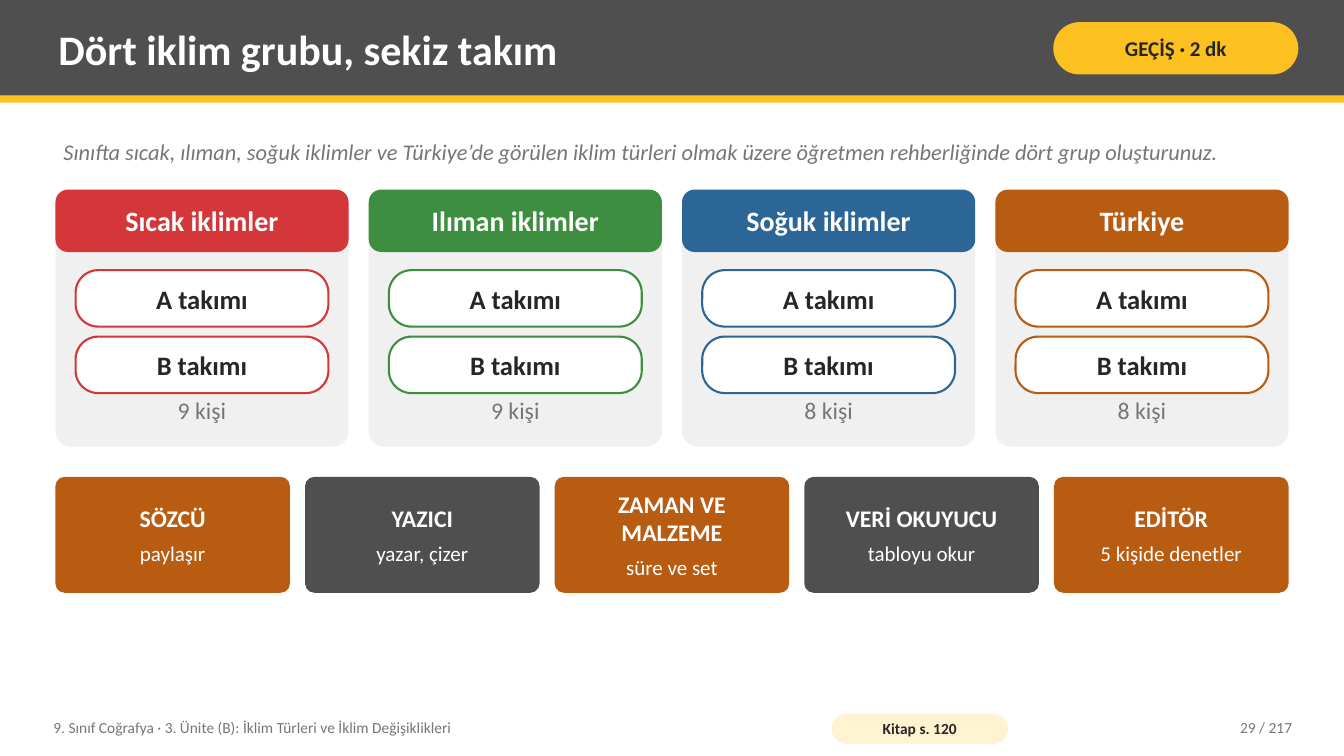
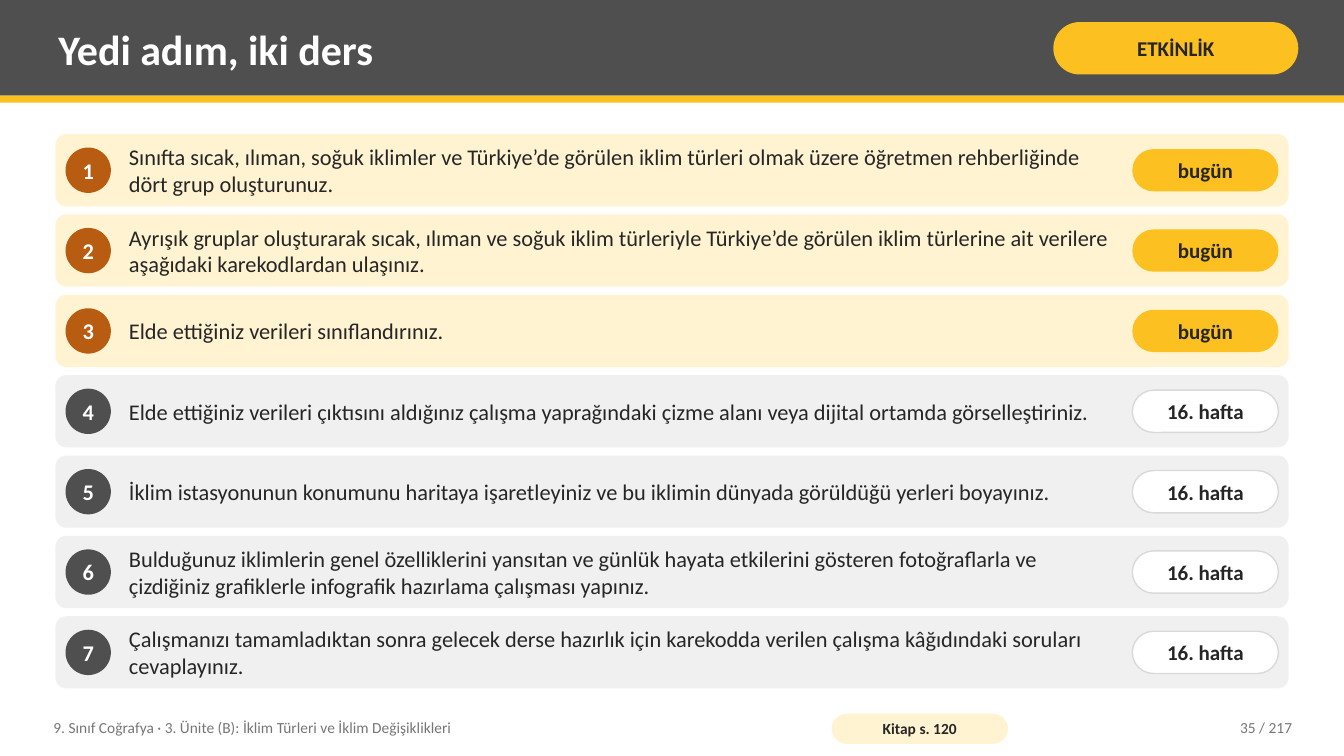
"""Build two geography lesson slides: team groups and activity steps."""
from pptx import Presentation
from pptx.dml.color import RGBColor
from pptx.enum import shapes, text
from pptx.util import Pt

FONT = "Calibri"
WHITE = RGBColor(0xFF, 0xFF, 0xFF)
INK = RGBColor(0x26, 0x26, 0x26)
DARK = RGBColor(0x4F, 0x4F, 0x4F)
MUTED = RGBColor(0x76, 0x76, 0x76)
BORDER = RGBColor(0xD9, 0xD9, 0xD9)
PANEL = RGBColor(0xF0, 0xF0, 0xF0)
YELLOW = RGBColor(0xFC, 0xC0, 0x21)
CREAM = RGBColor(0xFF, 0xF3, 0xD1)
RED = RGBColor(0xD3, 0x37, 0x3A)
GREEN = RGBColor(0x3E, 0x8E, 0x41)
BLUE = RGBColor(0x2C, 0x66, 0x96)
ORANGE = RGBColor(0xB8, 0x5C, 0x12)

RECT = shapes.MSO_SHAPE.RECTANGLE
ROUND = shapes.MSO_SHAPE.ROUNDED_RECTANGLE
OVAL = shapes.MSO_SHAPE.OVAL
LEFT, CENTER, RIGHT = text.PP_ALIGN.LEFT, text.PP_ALIGN.CENTER, text.PP_ALIGN.RIGHT
TOP, MIDDLE = text.MSO_ANCHOR.TOP, text.MSO_ANCHOR.MIDDLE

SLIDE_W, SLIDE_H = 960, 540
MARGIN = 39.6
CONTENT_W = SLIDE_W - 2 * MARGIN
UNIT = "9. Sınıf Coğrafya · 3. Ünite (B): İklim Türleri ve İklim Değişiklikleri"
BOOK_PAGE = "Kitap s. 120"
PAGE_COUNT = 217
GROUPING = ("Sınıfta sıcak, ılıman, soğuk iklimler ve Türkiye’de görülen iklim türleri "
            "olmak üzere öğretmen rehberliğinde dört grup oluşturunuz.")

GROUPS = [
    ("Sıcak iklimler", RED, "9 kişi"),
    ("Ilıman iklimler", GREEN, "9 kişi"),
    ("Soğuk iklimler", BLUE, "8 kişi"),
    ("Türkiye", ORANGE, "8 kişi"),
]
TEAMS = ["A takımı", "B takımı"]
ROLES = [
    ("SÖZCÜ", "paylaşır"),
    ("YAZICI", "yazar, çizer"),
    ("ZAMAN VE MALZEME", "süre ve set"),
    ("VERİ OKUYUCU", "tabloyu okur"),
    ("EDİTÖR", "5 kişide denetler"),
]
STEPS = [
    GROUPING,
    "Ayrışık gruplar oluşturarak sıcak, ılıman ve soğuk iklim türleriyle Türkiye’de "
    "görülen iklim türlerine ait verilere aşağıdaki karekodlardan ulaşınız.",
    "Elde ettiğiniz verileri sınıflandırınız.",
    "Elde ettiğiniz verileri çıktısını aldığınız çalışma yaprağındaki çizme alanı "
    "veya dijital ortamda görselleştiriniz.",
    "İklim istasyonunun konumunu haritaya işaretleyiniz ve bu iklimin dünyada "
    "görüldüğü yerleri boyayınız.",
    "Bulduğunuz iklimlerin genel özelliklerini yansıtan ve günlük hayata etkilerini "
    "gösteren fotoğraflarla ve çizdiğiniz grafiklerle infografik hazırlama çalışması yapınız.",
    "Çalışmanızı tamamladıktan sonra gelecek derse hazırlık için karekodda verilen "
    "çalışma kâğıdındaki soruları cevaplayınız.",
]
TODAY_STEPS = 3


def write(p, words, size, color, bold=False, italic=False, align=LEFT):
    """Add one styled run to a paragraph."""
    p.alignment = align
    r = p.add_run()
    r.text = words
    r.font.name = FONT
    r.font.size = Pt(size)
    r.font.bold = bold
    r.font.italic = italic
    r.font.color.rgb = color


def set_frame(tf, inset, anchor=MIDDLE, wrap=True):
    """Set the insets, anchor and wrapping of a text frame."""
    tf.margin_left = tf.margin_right = Pt(inset[0])
    tf.margin_top = tf.margin_bottom = Pt(inset[1])
    tf.vertical_anchor = anchor
    tf.word_wrap = wrap


def add_label(s, box, words, size, color, anchor=MIDDLE, **style):
    """Add a text box with one line of text."""
    tf = s.shapes.add_textbox(*map(Pt, box)).text_frame
    set_frame(tf, (5.76, 2.88), anchor)
    write(tf.paragraphs[0], words, size, color, **style)


def add_block(s, box, fill, kind=ROUND, radius=None, line=None, line_width=1.5):
    """Add a filled shape and return it."""
    sp = s.shapes.add_shape(kind, *map(Pt, box))
    sp.shadow.inherit = False
    if radius is not None:
        sp.adjustments[0] = radius
    sp.fill.solid()
    sp.fill.fore_color.rgb = fill
    if line is None:
        sp.line.fill.background()
    else:
        sp.line.color.rgb = line
        sp.line.width = Pt(line_width)
    return sp


def fill_text(sp, words, size, color, inset=(2.88, 0), wrap=True):
    """Write bold centred text in a shape."""
    set_frame(sp.text_frame, inset, wrap=wrap)
    write(sp.text_frame.paragraphs[0], words, size, color, bold=True, align=CENTER)


def columns(count, gap):
    """Return the left edges and the width of equal columns."""
    width = (CONTENT_W - gap * (count - 1)) / count
    return [MARGIN + i * (width + gap) for i in range(count)], width


def add_base(prs, title, badge, page):
    """Add a slide with its title band, badge and footer."""
    s = prs.slides.add_slide(prs.slide_layouts[6])
    add_block(s, (0, 0, SLIDE_W, 68.4), DARK, RECT)
    add_block(s, (0, 68.4, SLIDE_W, 5), YELLOW, RECT)
    add_label(s, (36, 5, 702, 59), title, 30, WHITE, bold=True)
    sp = add_block(s, (752.4, 15.8, 175, 37.4), YELLOW, radius=0.5)
    fill_text(sp, badge, 15, INK, (3.6, 1.44))
    add_label(s, (32.4, 506.9, 547.2, 25.9), UNIT, 11, MUTED)
    sp = add_block(s, (594, 509.8, 126, 21.6), CREAM, radius=0.5)
    fill_text(sp, BOOK_PAGE, 11, INK)
    add_label(s, (813.6, 506.9, 115.2, 25.9), f"{page} / {PAGE_COUNT}", 11, MUTED, align=RIGHT)
    return s


def add_group(s, x, width, name, color, size):
    """Add a climate group card with its teams."""
    add_block(s, (x, 135.4, width, 183.6), PANEL, radius=0.06)
    sp = add_block(s, (x, 135.4, width, 44.6), color, radius=0.2)
    fill_text(sp, name, 20, WHITE, (10.08, 5.76))
    for i, team in enumerate(TEAMS):
        box = (x + 14.4, 193 + i * 47.5, width - 28.8, 40.3)
        sp = add_block(s, box, WHITE, radius=0.4, line=color)
        fill_text(sp, team, 19, INK, (10.08, 0))
    add_label(s, (x, 279.4, width, 32.4), size, 17, MUTED, TOP, align=CENTER)


def add_role(s, x, width, name, task, color):
    """Add a role card with its task."""
    sp = add_block(s, (x, 340.6, width, 82.8), color, radius=0.08)
    fill_text(sp, name, 17, WHITE, (10.08, 5.76))
    tf = sp.text_frame
    tf.paragraphs[0].space_after = Pt(6)
    write(tf.add_paragraph(), task, 15, WHITE, align=CENTER)


def add_step(s, number, words):
    """Add a numbered activity row with its schedule pill."""
    today = number <= TODAY_STEPS
    height, disc, pill = 51.6, 32.4, 30.2
    y = 95.8 + (number - 1) * 57.4
    add_block(s, (MARGIN, y, CONTENT_W, height), CREAM if today else PANEL, radius=0.15)
    sp = add_block(s, (46.8, y + (height - disc) / 2, disc, disc),
                   ORANGE if today else DARK, OVAL)
    fill_text(sp, str(number), 16, WHITE, (0, 0), wrap=False)
    add_label(s, (86.4, y, 715, height), words, 16, INK)
    sp = add_block(s, (808.8, y + (height - pill) / 2, 104.4, pill),
                   YELLOW if today else WHITE, radius=0.5,
                   line=None if today else BORDER, line_width=1)
    fill_text(sp, "bugün" if today else "16. hafta", 15, INK, (2.16, 0))


def build_groups(prs):
    """Build the slide of groups and roles."""
    s = add_base(prs, "Dört iklim grubu, sekiz takım", "GEÇİŞ · 2 dk", 29)
    add_label(s, (MARGIN, 92.2, CONTENT_W, 32.4), GROUPING, 16, MUTED, italic=True)
    lefts, width = columns(len(GROUPS), 14.4)
    for x, group in zip(lefts, GROUPS):
        add_group(s, x, width, *group)
    lefts, width = columns(len(ROLES), 10.8)
    for i, (x, role) in enumerate(zip(lefts, ROLES)):
        add_role(s, x, width, *role, DARK if i % 2 else ORANGE)


def build_steps(prs):
    """Build the slide of activity steps."""
    s = add_base(prs, "Yedi adım, iki ders", "ETKİNLİK", 35)
    for number, words in enumerate(STEPS, 1):
        add_step(s, number, words)


def main():
    """Build and save the presentation."""
    prs = Presentation()
    prs.slide_width, prs.slide_height = Pt(SLIDE_W), Pt(SLIDE_H)
    build_groups(prs)
    build_steps(prs)
    prs.save("out.pptx")


if __name__ == "__main__":
    main()
